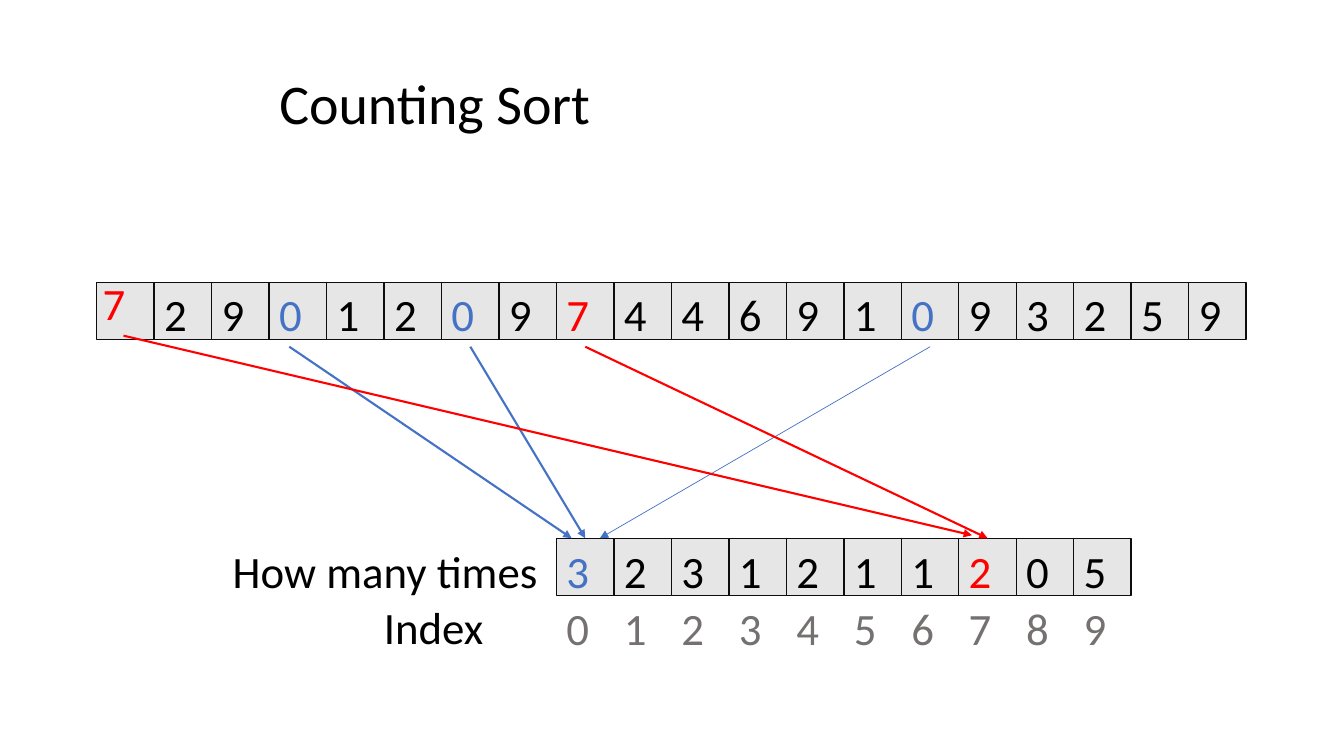
import pptx
import pptx.util
import pptx.dml.color
import pptx.enum.shapes
import pptx.enum.text
import pptx.oxml
import pptx.oxml.ns
from pptx.util import Inches

RGBColor = pptx.dml.color.RGBColor
BLACK = RGBColor(0x00, 0x00, 0x00)
BLUE = RGBColor(0x44, 0x72, 0xC4)
RED = RGBColor(0xFF, 0x00, 0x00)
GRAY = RGBColor(0x76, 0x71, 0x71)
CELL_FILL = RGBColor(0xE7, 0xE6, 0xE6)
CELL_LINE = RGBColor(0x0D, 0x0D, 0x0D)

CELL = 0.57
TEXT_HEIGHT = 0.64
INPUT_LEFT, INPUT_TOP = 0.96, 2.8
COUNT_LEFT, COUNT_TOP = INPUT_LEFT + 8 * CELL, 5.34
INDEX_TOP = COUNT_TOP + CELL
TOP, BOTTOM = 0, 2

NUMBERS = [7, 2, 9, 0, 1, 2, 0, 9, 7, 4, 4, 6, 9, 1, 0, 9, 3, 2, 5, 9]
COUNTS = [NUMBERS.count(value) for value in range(10)]
# The slide shows these tallies for 4 and 9
COUNTS[4], COUNTS[9] = 2, 5
VALUE_COLORS = {0: BLUE, 7: RED}


class SlideBuilder:
    def __init__(self, page):
        self.page = page
        self.font = "Calibri"
        self.size = 32

    def format_text(self, box, text, size, color):
        box.text_frame.text = text
        for span in box.text_frame.paragraphs[0].runs:
            span.font.name = self.font
            span.font.size = pptx.util.Pt(size)
            span.font.color.rgb = color

    def title(self, text, left, top, width, height):
        box = self.page.shapes.title
        box.left, box.top = Inches(left), Inches(top)
        box.width, box.height = Inches(width), Inches(height)
        self.format_text(box, text, 40, BLACK)
        frame = box.text_frame
        frame.word_wrap = False
        frame.vertical_anchor = pptx.enum.text.MSO_ANCHOR.TOP
        frame.paragraphs[0].alignment = pptx.enum.text.PP_ALIGN.LEFT

    def label(self, text, left, top, width, color=BLACK):
        box = self.page.shapes.add_textbox(
            Inches(left), Inches(top), Inches(width), Inches(TEXT_HEIGHT))
        box.text_frame.word_wrap = True
        self.format_text(box, text, self.size, color)
        return box

    def cell(self, left, top):
        square = self.page.shapes.add_shape(
            pptx.enum.shapes.MSO_SHAPE.RECTANGLE,
            Inches(left), Inches(top), Inches(CELL), Inches(CELL))
        square.shadow.inherit = False
        square.fill.solid()
        square.fill.fore_color.rgb = CELL_FILL
        square.line.color.rgb = CELL_LINE
        square.line.width = pptx.util.Pt(1)
        return square

    def arrow(self, start, end, color, width=1.5):
        line = self.page.shapes.add_connector(
            pptx.enum.shapes.MSO_CONNECTOR.STRAIGHT,
            *[Inches(length) for length in start + end])
        line.line.color.rgb = color
        line.line.width = pptx.util.Pt(width)
        head = pptx.oxml.parse_xml(
            '<a:tailEnd %s type="triangle"/>' % pptx.oxml.ns.nsdecls("a"))
        line.line._get_or_add_ln().append(head)
        line._element.spPr.append(pptx.oxml.parse_xml(
            "<a:effectLst %s/>" % pptx.oxml.ns.nsdecls("a")))
        return line


def main():
    deck = pptx.Presentation()
    deck.slide_width, deck.slide_height = Inches(13.33), Inches(7.5)
    page = deck.slides.add_slide(deck.slide_layouts[5])
    builder = SlideBuilder(page)
    builder.title("Counting Sort", 2.67, 0.63, 3.32, 0.77)

    # Input array; the first digit sits a little up and left of its cell
    input_boxes = []
    for position, value in enumerate(NUMBERS):
        left = INPUT_LEFT + position * CELL
        builder.cell(left, INPUT_TOP)
        shift_x, shift_y = (0.04, 0.11) if position == 0 else (0, 0)
        input_boxes.append(builder.label(
            str(value), left - shift_x, INPUT_TOP - shift_y, CELL + shift_x,
            VALUE_COLORS.get(value, BLACK)))

    # Count array with its indexes
    count_cells = []
    for index, count in enumerate(COUNTS):
        left = COUNT_LEFT + index * CELL
        count_cells.append(builder.cell(left, COUNT_TOP))
        builder.label(str(count), left, COUNT_TOP, CELL,
                      VALUE_COLORS.get(index, BLACK))
        builder.label(str(index), left, INDEX_TOP, CELL, GRAY)

    # Row labels
    builder.label("Index", 3.71, 5.9, 1.34)
    builder.label("How many times", 2.21, COUNT_TOP, 3.31)

    # Arrows from each 0 and 7 to its count
    builder.arrow((2.87, 3.44), (5.67, 5.34), BLUE)
    second_zero = builder.arrow((4.67, 3.44), (5.81, 5.34), BLUE)
    third_zero = builder.arrow((9.22, 3.44), (5.95, 5.34), BLUE, 0.5)
    first_seven = builder.arrow((1.23, 3.33), (9.64, 5.31), RED)
    second_seven = builder.arrow((5.81, 3.44), (9.79, 5.34), RED)
    for line, position in ((second_zero, 6), (third_zero, 14),
                           (first_seven, 0), (second_seven, 8)):
        line.begin_connect(input_boxes[position], BOTTOM)
    second_zero.end_connect(count_cells[0], TOP)
    second_seven.end_connect(count_cells[7], TOP)

    deck.save("out.pptx")


if __name__ == "__main__":
    main()
